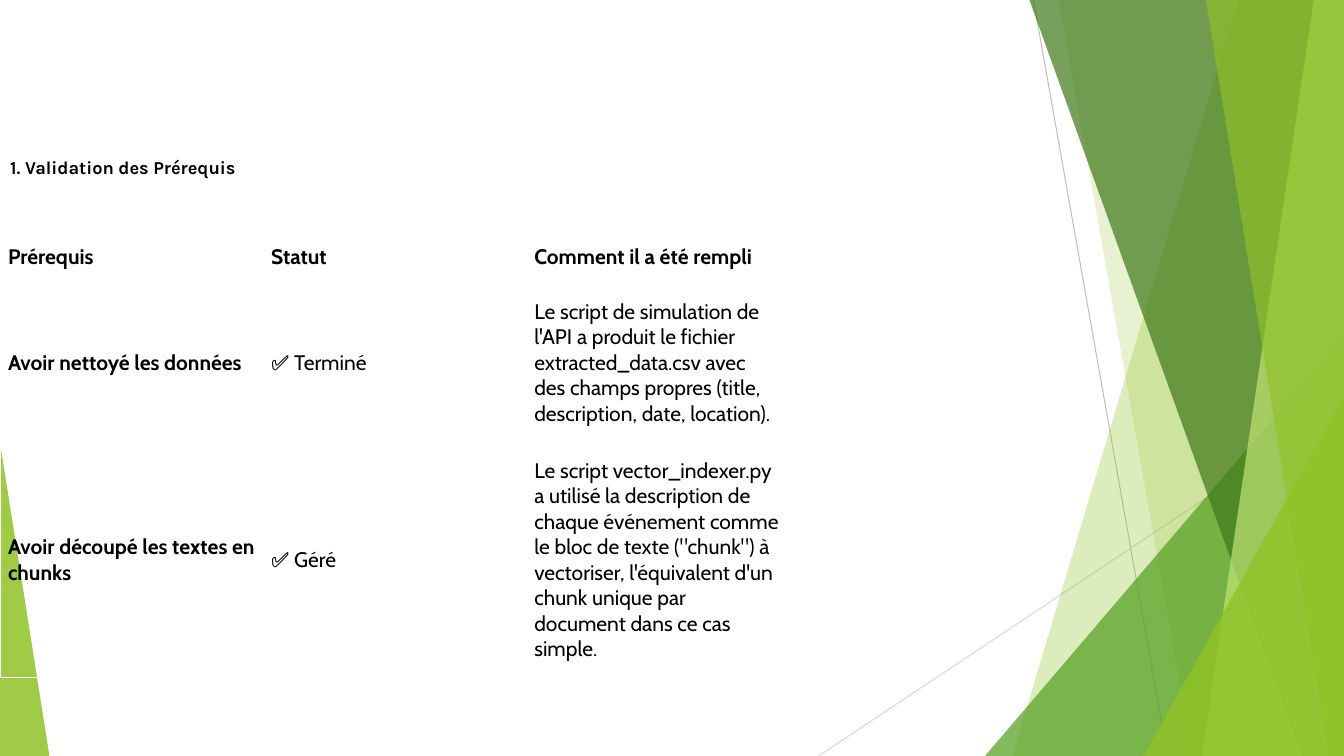
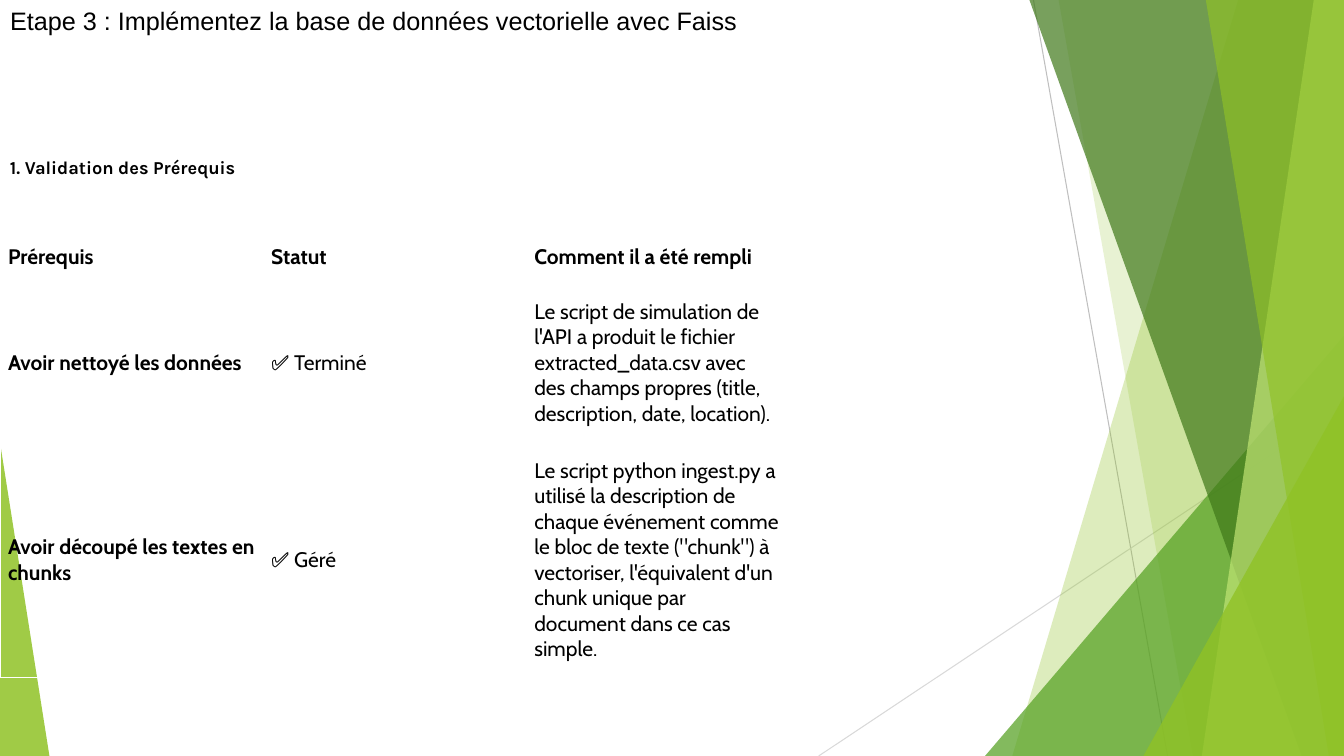
from lxml import etree
from pptx import Presentation, util as u
from pptx.dml.color import RGBColor
from pptx.enum import shapes, text
from pptx.oxml import ns

BLACK, WHITE = "000000", "FFFFFF"
LIME, PALE_LIME, GREEN, DARK_GREEN = "90C226", "C0E474", "54A021", "3F7819"
WIDTH, HEIGHT = 13.33, 7.5


def paint(fill, color, opacity=100):
    """Fill with a hex colour at the given opacity in percent."""
    fill.solid()
    fill.fore_color.rgb = RGBColor.from_string(color)
    if opacity < 100:
        for srgb in fill._xPr.iter(ns.qn("a:srgbClr")):
            etree.SubElement(srgb, ns.qn("a:alpha"), val=str(opacity * 1000))


def write(frame, words, size, font, bold=False):
    frame.word_wrap = True
    paragraph = frame.paragraphs[0]
    paragraph.alignment = text.PP_ALIGN.LEFT
    run = paragraph.add_run()
    run.text = words
    run.font.size, run.font.name, run.font.bold = u.Pt(size), font, bold
    paint(run.font.fill, BLACK)


prs = Presentation()
prs.slide_width, prs.slide_height = u.Inches(WIDTH), u.Inches(HEIGHT)
layout = prs.slide_layouts.get_by_name("Title Only")
first = prs.slides.add_slide(layout)
second = prs.slides.add_slide(layout)

# Shared decoration: drawn once, then moved into the layout
decoration = []
for start, end, color in [((10.25, 0), (11.58, HEIGHT), "BFBFBF"),
                          ((WIDTH, 4.03), (8.12, HEIGHT), "D9D9D9")]:
    ray = first.shapes.add_connector(shapes.MSO_CONNECTOR.STRAIGHT,
                                     *map(u.Inches, start + end))
    ray.line.width = u.Pt(0.75)
    paint(ray.line.fill, color)
    etree.SubElement(ray.element.spPr, ns.qn("a:effectLst"))
    decoration.append(ray)

# Bands reach the right edge: (top x, bottom x, colour, opacity)
# Triangles: (left, top, width, apex, colour, opacity)
facets = [
    (10 + 2.28, 10.04, LIME, 30),
    (10.5, 11.83, LIME, 20),
    (9.77, 3.33, 3.56, 1, GREEN, 72),
    (10.21, 12.91, DARK_GREEN, 70),
    (13.03, 11.92, PALE_LIME, 70),
    (11.96, 13.18, LIME, 65),
    (11.34, 3.93, 1.99, 1, LIME, 80),
    (0, 4.39, 0.49, 0, LIME, 85),
]
for *geometry, color, opacity in facets:
    if len(geometry) == 2:
        top_x, bottom_x = map(u.Inches, geometry)
        right, bottom = u.Inches(WIDTH), u.Inches(HEIGHT)
        outline = first.shapes.build_freeform(top_x, 0)
        outline.add_line_segments([(right, 0), (right, bottom), (bottom_x, bottom)])
        facet = outline.convert_to_shape()
    else:
        left, top, width, apex = geometry
        facet = first.shapes.add_shape(
            shapes.MSO_SHAPE.ISOSCELES_TRIANGLE,
            *map(u.Inches, (left, top, width, HEIGHT - top)))
        facet.adjustments[0] = apex
    paint(facet.fill, color, opacity)
    facet.line.fill.background()
    facet.shadow.inherit = False
    decoration.append(facet)

for number, part in enumerate(decoration):
    part.element.xpath(".//p:cNvPr")[0].set("id", str(20 + number))
    layout.shapes.element.insert(2 + number, part.element)

# Slide content
SECTION = "1. Validation des Prérequis"
STEP = "Etape 3 : Implémentez la base de données vectorielle avec Faiss"

for slide, step, script in [(first, None, "vector_indexer.py"),
                            (second, STEP, "python ingest.py")]:
    title = slide.shapes.title
    section = title
    if step:
        title.left, title.top, title.width, title.height = map(
            u.Inches, (0, 0, 9.06, 1.31))
        title.text_frame.vertical_anchor = text.MSO_ANCHOR.TOP
        title.text_frame.auto_size = text.MSO_AUTO_SIZE.NONE
        write(title.text_frame, step, 18, "Arial")
        section = slide.shapes.add_textbox(0, 0, 0, 0)

    section.left, section.top, section.width, section.height = map(
        u.Inches, (0, 1.55, WIDTH, 0.5))
    heading = section.text_frame
    heading.margin_top = heading.margin_bottom = 0
    heading.vertical_anchor = text.MSO_ANCHOR.TOP
    heading.auto_size = text.MSO_AUTO_SIZE.NONE
    write(heading, SECTION, 13, "Karla", bold=True)

    prerequisites = [
        ("Prérequis", "Statut", "Comment il a été rempli"),
        ("Avoir nettoyé les données", "✅ Terminé",
         "Le script de simulation de l'API a produit le fichier extracted_data.csv "
         "avec des champs propres (title, description, date, location)."),
        ("Avoir découpé les textes en chunks", "✅ Géré",
         f"Le script {script} a utilisé la description de chaque événement comme "
         "le bloc de texte (\"chunk\") à vectoriser, l'équivalent d'un chunk unique "
         "par document dans ce cas simple."),
    ]
    table = slide.shapes.add_table(
        3, 3, 0, u.Inches(2.28), u.Inches(7.82), u.Inches(4.44)).table
    table.first_row = table.horz_banding = False
    for column in table.columns:
        column.width = u.Inches(2.61)
    for row, height in zip(table.rows, (0.53, 1.58, 2.33)):
        row.height = u.Inches(height)

    for r, entries in enumerate(prerequisites):
        for c, entry in enumerate(entries):
            cell = table.cell(r, c)
            cell.vertical_anchor = text.MSO_ANCHOR.MIDDLE
            cell.margin_left = cell.margin_right = u.Inches(0.08)
            cell.margin_top = cell.margin_bottom = u.Inches(0.04)
            properties = cell._tc.get_or_add_tcPr()
            for side in ("lnL", "lnR", "lnT", "lnB"):
                border = etree.SubElement(properties, ns.qn(f"a:{side}"),
                                          w=str(u.Pt(0.75)))
                solid = etree.SubElement(border, ns.qn("a:solidFill"))
                etree.SubElement(solid, ns.qn("a:srgbClr"), val=WHITE)
            cell.fill.background()
            write(cell.text_frame, entry, 15, "Cabin", bold=r == 0 or c == 0)

prs.save("out.pptx")
